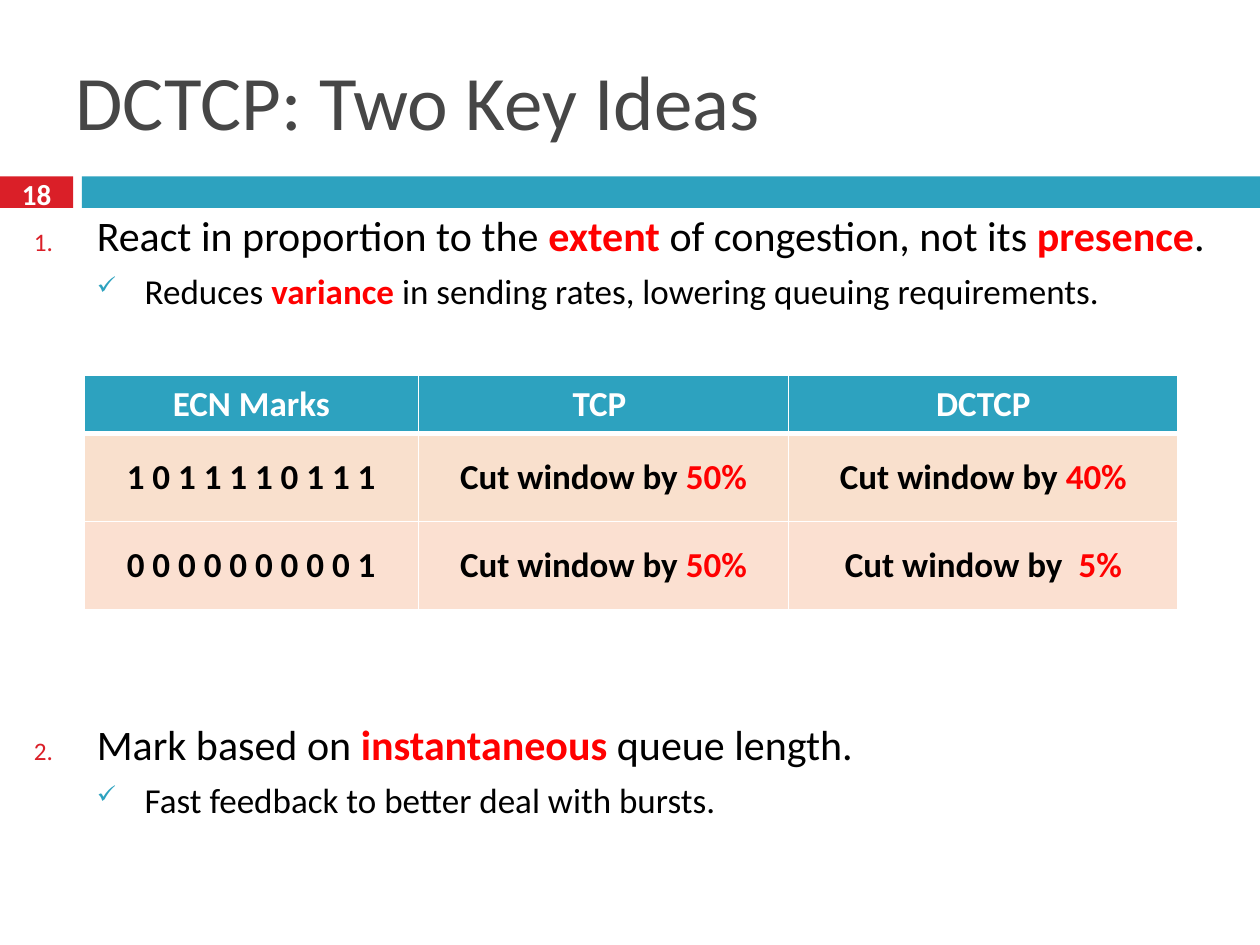
from dataclasses import dataclass

from lxml import etree
from pptx import Presentation
from pptx.dml.color import RGBColor
from pptx.enum.shapes import MSO_SHAPE
from pptx.enum.text import MSO_ANCHOR, PP_ALIGN
from pptx.oxml.ns import qn
from pptx.util import Inches, Pt

FONT = "Calibri"
TEAL, CRIMSON, RED = "2DA2BF", "DA1F28", "FF0000"
BLACK, WHITE, GREY = "000000", "FFFFFF", "464646"


@dataclass
class Run:
    text: str
    color: str = BLACK
    bold: bool = False


@dataclass
class Level:
    size: float
    left: float
    hanging: float
    before: float
    bullet_color: str
    bullet_size: int


@dataclass
class Idea:
    number: int
    top: float
    headline: list[Run]
    detail: list[Run]


HEADLINE = Level(24, 0.5, 0.5, 0, CRIMSON, 60)
DETAIL = Level(20, 0.88, 0.38, 5.5, TEAL, 70)
IDEAS = [
    Idea(1, 1.61,
         [Run("React in proportion to the "), Run("extent", RED, True),
          Run(" of congestion, not its "), Run("presence", RED, True), Run(".")],
         [Run("Reduces "), Run("variance ", RED, True),
          Run("in sending rates, lowering queuing requirements.")]),
    Idea(2, 5.65,
         [Run("Mark based on "), Run("instantaneous", RED, True), Run(" queue length.")],
         [Run("Fast feedback to better deal with bursts.")]),
]


def cut(label: str, percent: str) -> list[Run]:
    return [Run(label, BLACK, True), Run(percent, RED, True)]


TABLE_ROWS = [
    (0.46, TEAL, [[Run(head, WHITE, True)] for head in ("ECN Marks", "TCP ", "DCTCP")]),
    (0.7, "F9E0CD", [[Run("1 0 1 1 1 1 0 1 1 1", BLACK, True)],
                     cut("Cut window by ", "50%"), cut("Cut window by ", "40%")]),
    (0.7, "FBE0D1", [[Run("0 0 0 0 0 0 0 0 0 1", BLACK, True)],
                     cut("Cut window by", " 50%"), cut("Cut window by  ", "5%")]),
]
COLUMN_WIDTHS = [2.65, 2.94, 3.09]


def rgb(value: str) -> RGBColor:
    return RGBColor.from_string(value)


def write(paragraph, runs: list[Run], size: float) -> None:
    for item in runs:
        run = paragraph.add_run()
        run.text = item.text
        run.font.name, run.font.size, run.font.bold = FONT, Pt(size), item.bold
        run.font.color.rgb = rgb(item.color)


def add_band(slide, left: float, width: float, color: str) -> None:
    band = slide.shapes.add_shape(MSO_SHAPE.RECTANGLE, Inches(left), Inches(1.4),
                                  Inches(width), Inches(0.25))
    band.shadow.inherit = False
    band.fill.solid()
    band.fill.fore_color.rgb = rgb(color)
    band.line.fill.background()


def add_text_box(slide, left: float, top: float, width: float, height: float):
    box = slide.shapes.add_textbox(Inches(left), Inches(top), Inches(width), Inches(height))
    box.text_frame.word_wrap = True
    return box.text_frame


def set_bullet(paragraph, level: Level, tag: str, **attributes: str) -> None:
    props = paragraph._p.get_or_add_pPr()
    props.set("marL", str(Inches(level.left)))
    props.set("indent", str(-Inches(level.hanging)))
    color = etree.SubElement(props, qn("a:buClr"))
    etree.SubElement(color, qn("a:srgbClr"), val=level.bullet_color)
    etree.SubElement(props, qn("a:buSzPct"), val=str(level.bullet_size * 1000))
    etree.SubElement(props, qn(tag), **attributes)


def add_idea(slide, idea: Idea) -> None:
    frame = add_text_box(slide, 0.17, idea.top, 9.83, 0.95)
    first, second = frame.paragraphs[0], frame.add_paragraph()
    second.level = 1
    for paragraph, level, runs in ((first, HEADLINE, idea.headline),
                                   (second, DETAIL, idea.detail)):
        paragraph.space_before = Pt(level.before)
        write(paragraph, runs, level.size)
    set_bullet(first, HEADLINE, "a:buAutoNum", type="arabicPeriod", startAt=str(idea.number))
    set_bullet(second, DETAIL, "a:buChar", char="\u2713")


def set_borders(cell, top: float, bottom: float) -> None:
    props = cell._tc.get_or_add_tcPr()
    sides = (("L", 1), ("R", 1), ("T", top), ("B", bottom))
    for position, (side, width) in enumerate(sides):
        line = etree.Element(qn(f"a:ln{side}"), w=str(Pt(width)))
        fill = etree.SubElement(line, qn("a:solidFill"))
        etree.SubElement(fill, qn("a:srgbClr"), val=WHITE)
        props.insert(position, line)


def add_comparison(slide) -> None:
    height = sum(row[0] for row in TABLE_ROWS)
    table = slide.shapes.add_table(len(TABLE_ROWS), len(COLUMN_WIDTHS), Inches(0.67),
                                   Inches(2.98), Inches(sum(COLUMN_WIDTHS)),
                                   Inches(height)).table
    for column, width in zip(table.columns, COLUMN_WIDTHS):
        column.width = Inches(width)
    for r, (row_height, fill, contents) in enumerate(TABLE_ROWS):
        table.rows[r].height = Inches(row_height)
        for c, runs in enumerate(contents):
            cell = table.cell(r, c)
            cell.fill.solid()
            cell.fill.fore_color.rgb = rgb(fill)
            cell.vertical_anchor = MSO_ANCHOR.MIDDLE
            cell.margin_left = cell.margin_right = Inches(0.12)
            cell.margin_top = cell.margin_bottom = Inches(0.06)
            paragraph = cell.text_frame.paragraphs[0]
            paragraph.alignment = PP_ALIGN.CENTER
            write(paragraph, runs, 20)
            set_borders(cell, top=3 if r == 1 else 1, bottom=3 if r == 0 else 1)


prs = Presentation()
prs.slide_width, prs.slide_height = Inches(10), Inches(7.5)
slide = prs.slides.add_slide(prs.slide_layouts[5])

# Title
title = slide.shapes.title
title.left, title.top, title.width, title.height = map(Inches, (0.5, 0.17, 9, 1.25))
title.text_frame.vertical_anchor = MSO_ANCHOR.MIDDLE
title.text_frame.paragraphs[0].alignment = PP_ALIGN.LEFT
write(title.text_frame.paragraphs[0], [Run("DCTCP: Two Key Ideas", GREY)], 44)

# Header bands and page number
add_band(slide, 0, 0.58, CRIMSON)
add_band(slide, 0.65, 9.35, TEAL)
page = add_text_box(slide, 0, 1.37, 0.58, 0.33)
page.vertical_anchor = MSO_ANCHOR.MIDDLE
page.paragraphs[0].alignment = PP_ALIGN.CENTER
write(page.paragraphs[0], [Run("18", WHITE, True)], 16.6)

# Numbered ideas and comparison table
for idea in IDEAS:
    add_idea(slide, idea)
add_comparison(slide)

prs.save("out.pptx")
